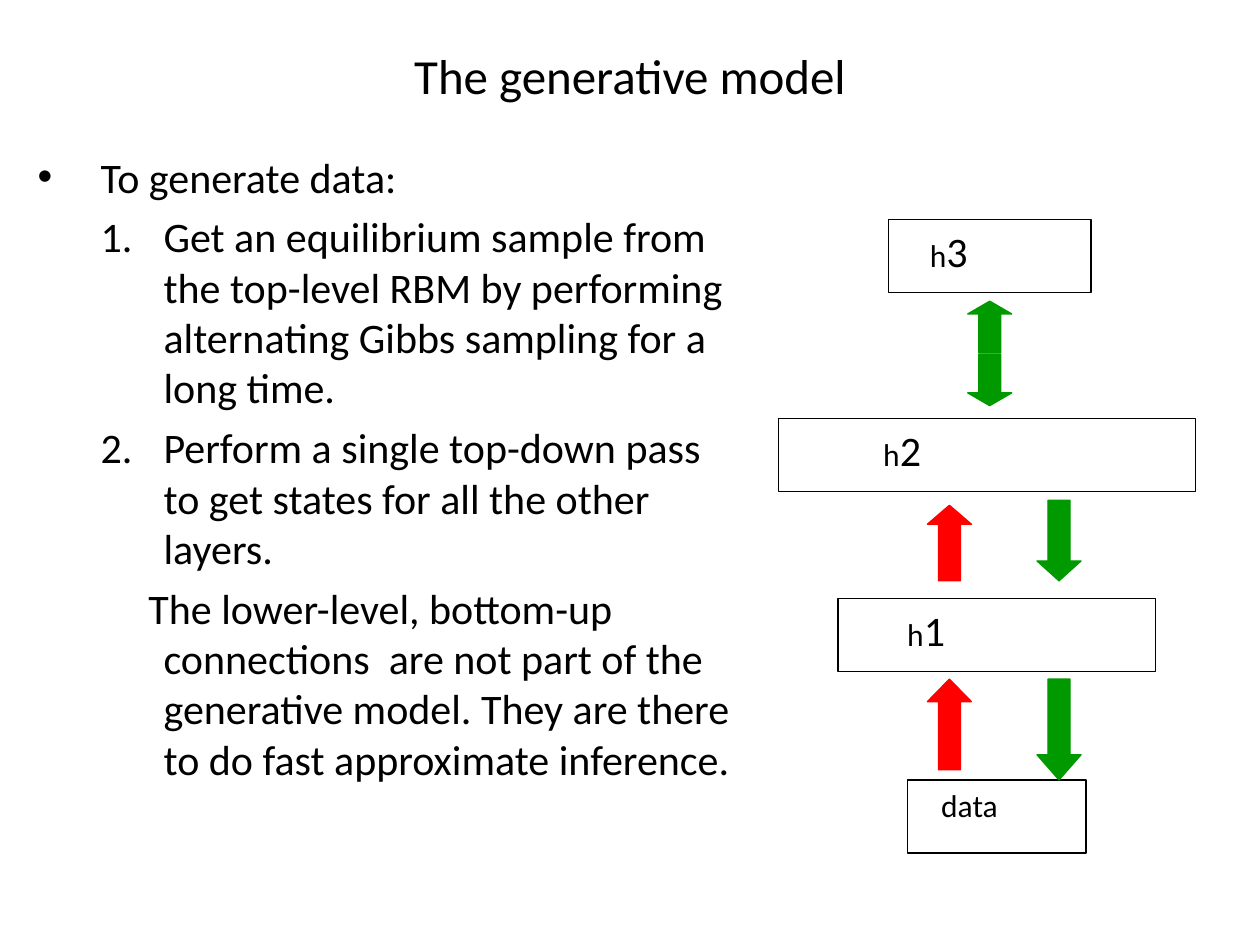
from dataclasses import dataclass
from typing import Optional

from lxml.etree import SubElement
from pptx import Presentation
from pptx.dml.color import RGBColor
from pptx.enum.shapes import MSO_SHAPE
from pptx.enum.text import MSO_ANCHOR, PP_ALIGN
from pptx.oxml.ns import qn
from pptx.util import Inches, Pt

BLACK = RGBColor(0x00, 0x00, 0x00)
WHITE = RGBColor(0xFF, 0xFF, 0xFF)
GREEN = RGBColor(0x00, 0x99, 0x00)
RED = RGBColor(0xFF, 0x00, 0x00)
FONT = "Calibri"

SLIDE_WIDTH, SLIDE_HEIGHT = Inches(10), Inches(7.5)
GRID_COLUMNS, GRID_ROWS = 100, 75
LAYER_ROWS = 5.8
ARROW_COLUMNS = 3.5
UP_COLUMN, TOP_COLUMN, DOWN_COLUMN = 73.6, 76.8, 82.3


@dataclass(frozen=True)
class Layer:
    column: float
    row: float
    columns: float
    text_indent: float
    name: str
    number: str = ""


@dataclass(frozen=True)
class Arrow:
    column: float
    row: float
    rows: float
    head: float
    color: RGBColor
    points_up: bool = False


@dataclass(frozen=True)
class Item:
    text: str
    margin: float
    indent: float
    bullet: Optional[tuple[str, dict[str, str]]] = None


LAYERS = [
    Layer(70.5, 17.4, 16.1, 3.3, "h", "3"),
    Layer(61.8, 33.2, 33.1, 8.3, "h", "2"),
    Layer(66.5, 47.5, 25.2, 5.5, "h", "1"),
    Layer(72, 61.9, 14.2, 2.7, "data"),
]

ARROWS = [
    Arrow(TOP_COLUMN, 28.1, 4.1, 0.29, GREEN),
    Arrow(TOP_COLUMN, 23.9, 4.1, 0.29, GREEN, points_up=True),
    Arrow(DOWN_COLUMN, 39.7, 6.4, 0.45, GREEN),
    Arrow(DOWN_COLUMN, 53.9, 8, 0.57, GREEN),
    Arrow(UP_COLUMN, 40.1, 6, 0.43, RED, points_up=True),
    Arrow(UP_COLUMN, 53.9, 7.2, 0.51, RED, points_up=True),
]

DOT = ("a:buChar", {"char": "•"})
NUMBER = ("a:buAutoNum", {"type": "arabicPeriod"})
ITEMS = [
    Item("To generate data:", 5, -5, DOT),
    Item("Get an equilibrium sample from the top-level RBM by performing "
         "alternating Gibbs sampling for a long time.", 10, -5, NUMBER),
    Item("Perform a single top-down pass to get states for all the other "
         "layers.", 10, -5, NUMBER),
    Item("The lower-level, bottom-up connections  are not part of the "
         "generative model. They are there to do fast approximate inference.",
         10, -1.2),
]


def across(columns: float) -> int:
    return round(SLIDE_WIDTH * columns / GRID_COLUMNS)


def down(rows: float) -> int:
    return round(SLIDE_HEIGHT * rows / GRID_ROWS)


def grid_box(column: float, row: float, columns: float, rows: float) -> tuple:
    return across(column), down(row), across(columns), down(rows)


def add_run(paragraph, text: str, size: float) -> None:
    run = paragraph.add_run()
    run.text = text
    run.font.name = FONT
    run.font.size = Pt(size)
    run.font.color.rgb = BLACK


def add_title(slide, text: str) -> None:
    frame = slide.shapes.add_textbox(*grid_box(5, -0.3, 90, 12.5)).text_frame
    frame.word_wrap = True
    frame.vertical_anchor = MSO_ANCHOR.MIDDLE
    paragraph = frame.paragraphs[0]
    paragraph.alignment = PP_ALIGN.CENTER
    add_run(paragraph, text, 28)


def add_items(slide, items: list[Item]) -> None:
    frame = slide.shapes.add_textbox(*grid_box(2, 11.5, 57.1, 61.1)).text_frame
    frame.word_wrap = True
    for index, item in enumerate(items):
        paragraph = frame.add_paragraph() if index else frame.paragraphs[0]
        properties = paragraph._p.get_or_add_pPr()
        properties.set("marL", str(across(item.margin)))
        properties.set("indent", str(across(item.indent)))
        if item.bullet:
            tag, attributes = item.bullet
            if tag == "a:buChar":
                SubElement(properties, qn("a:buFont"), typeface="Arial")
            SubElement(properties, qn(tag), attributes)
        if index:
            paragraph.space_before = Pt(5.3)
        add_run(paragraph, item.text, 24)


def add_filled_shape(slide, kind: MSO_SHAPE, box: tuple, fill: RGBColor, line: RGBColor):
    shape = slide.shapes.add_shape(kind, *box)
    shape.shadow.inherit = False
    shape.fill.solid()
    shape.fill.fore_color.rgb = fill
    shape.line.color.rgb = line
    shape.line.width = Pt(0.75)
    return shape


def add_layer(slide, layer: Layer) -> None:
    box = grid_box(layer.column, layer.row, layer.columns, LAYER_ROWS)
    shape = add_filled_shape(slide, MSO_SHAPE.RECTANGLE, box, WHITE, BLACK)
    frame = shape.text_frame
    frame.vertical_anchor = MSO_ANCHOR.TOP
    frame.margin_left = across(layer.text_indent)
    paragraph = frame.paragraphs[0]
    paragraph.alignment = PP_ALIGN.LEFT
    add_run(paragraph, layer.name, 18)
    if layer.number:
        add_run(paragraph, layer.number, 24)


def add_arrow(slide, arrow: Arrow) -> None:
    box = grid_box(arrow.column, arrow.row, ARROW_COLUMNS, arrow.rows)
    shape = add_filled_shape(slide, MSO_SHAPE.DOWN_ARROW, box, arrow.color, arrow.color)
    shape.adjustments[0] = 0.5
    shape.adjustments[1] = arrow.head
    if arrow.points_up:
        shape.rotation = 180


def main() -> None:
    presentation = Presentation()
    presentation.slide_width = SLIDE_WIDTH
    presentation.slide_height = SLIDE_HEIGHT
    slide = presentation.slides.add_slide(presentation.slide_layouts[6])
    add_title(slide, "The generative model")
    add_items(slide, ITEMS)
    for layer in LAYERS:
        add_layer(slide, layer)
    for arrow in ARROWS:
        add_arrow(slide, arrow)
    presentation.save("out.pptx")


if __name__ == "__main__":
    main()
